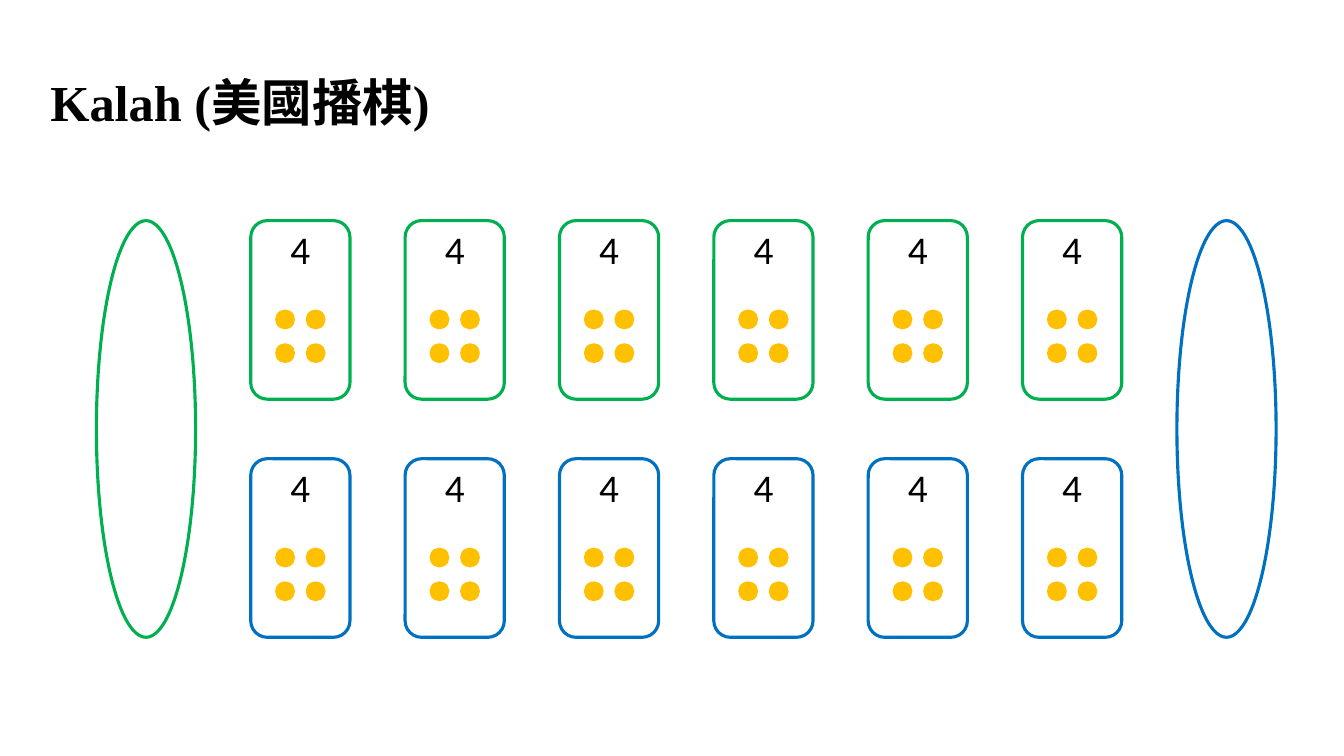
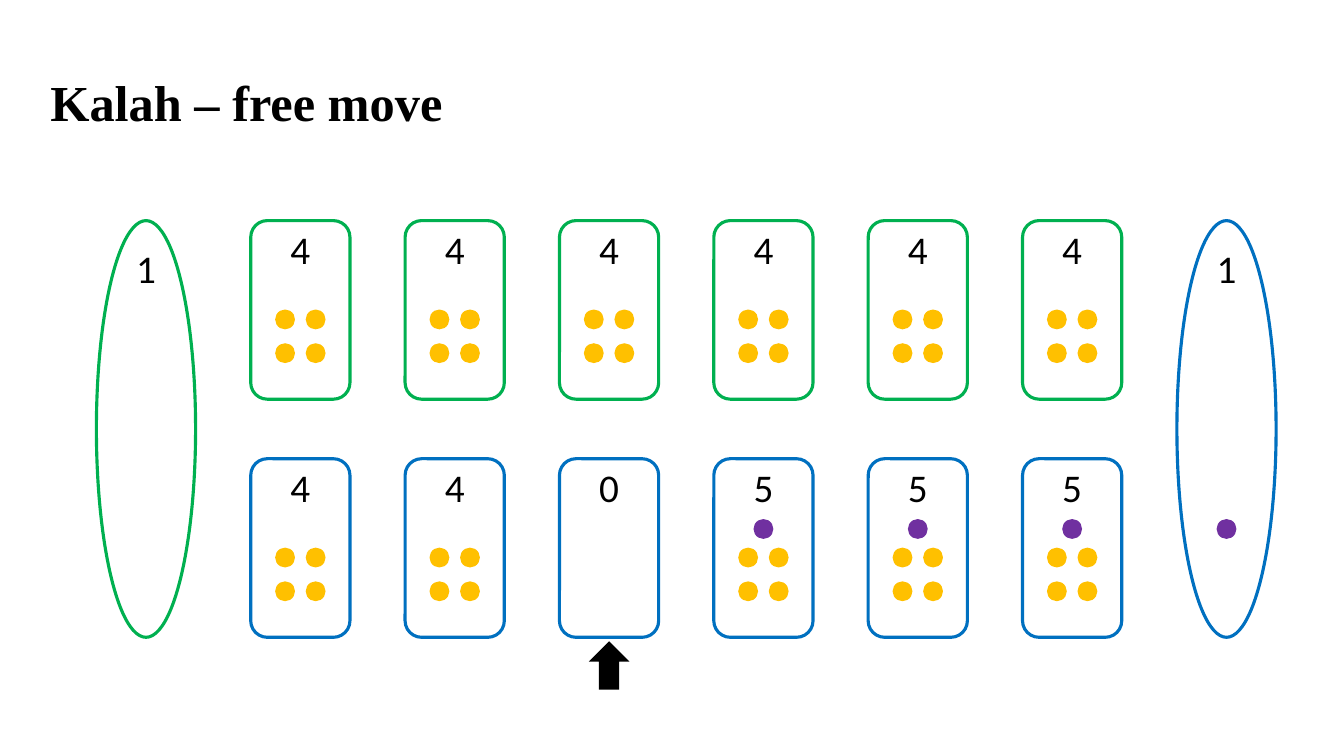
from dataclasses import dataclass
from itertools import product

from pptx import Presentation
from pptx.dml.color import RGBColor
from pptx.enum.shapes import MSO_SHAPE as Preset
from pptx.enum.text import MSO_AUTO_SIZE as AutoSize, PP_ALIGN as Align
from pptx.util import Cm, Pt


@dataclass(frozen=True)
class Theme:
    north: RGBColor = RGBColor(0x00, 0xB0, 0x50)
    south: RGBColor = RGBColor(0x00, 0x70, 0xC0)
    seed: RGBColor = RGBColor(0xFF, 0xC0, 0x00)
    sown: RGBColor = RGBColor(0x70, 0x30, 0xA0)
    ink: RGBColor = RGBColor(0x00, 0x00, 0x00)
    title_font: str = "Times New Roman"
    count_font: str = "Calibri"
    title_size: Pt = Pt(36)
    count_size: Pt = Pt(28)
    outline: Pt = Pt(2.25)


# Board geometry in centimetres
BOARD_LEFT, COLUMN_STEP = 2.43, 3.89
NORTH_TOP, SOUTH_TOP = 5.56, 11.56
CUP_WIDTH, PIT_HEIGHT, STORE_HEIGHT = 2.5, 4.5, 10.5
SEED, SEED_STEP_X, SEED_STEP_Y = 0.5, 0.77, 0.85
QUAD_DROP, SOWN_DROP = 2.24, 1.52
COUNT_WIDTH, COUNT_HEIGHT, STORE_COUNT_DROP = 1.02, 1.45, 0.48
ARROW_WIDTH, ARROW_HEIGHT, ARROW_TOP = 1.02, 1.22, 16.16
SOUTH_STORE = 7


def centred(column, width):
    """Left edge of something centred in a board column."""
    return BOARD_LEFT + column * COLUMN_STEP + (CUP_WIDTH - width) / 2


class Board:
    def __init__(self, deck, theme):
        self.deck, self.theme = deck, theme
        self.page = None

    def start(self, title):
        self.page = self.deck.slides.add_slide(self.deck.slide_layouts[6])
        self.text(title, (1.02, 1.68, 31.78, 1.8), wrap=True, bold=True,
                  name=self.theme.title_font, size=self.theme.title_size)

    def text(self, words, area, wrap=False, align=Align.LEFT, **font):
        box = self.page.shapes.add_textbox(*map(Cm, area))
        frame = box.text_frame
        frame.word_wrap = wrap
        frame.auto_size = AutoSize.SHAPE_TO_FIT_TEXT
        para = frame.paragraphs[0]
        para.alignment = align
        span = para.add_run()
        span.text = words
        span.font.color.rgb = self.theme.ink
        for key, value in font.items():
            setattr(span.font, key, value)

    def solid(self, preset, area, colour, shapes=None):
        shapes = self.page.shapes if shapes is None else shapes
        shape = shapes.add_shape(preset, *map(Cm, area))
        shape.shadow.inherit = False
        shape.fill.solid()
        shape.fill.fore_color.rgb = colour
        shape.line.fill.background()

    def cup(self, preset, column, top, height, colour):
        area = centred(column, CUP_WIDTH), top, CUP_WIDTH, height
        shape = self.page.shapes.add_shape(preset, *map(Cm, area))
        shape.shadow.inherit = False
        shape.fill.background()
        shape.line.color.rgb = colour
        shape.line.width = self.theme.outline

    def count(self, column, top, number):
        self.text(str(number),
                  (centred(column, COUNT_WIDTH), top, COUNT_WIDTH, COUNT_HEIGHT),
                  align=Align.CENTER, name=self.theme.count_font,
                  size=self.theme.count_size)

    def quad(self, column, top):
        """Four starting seeds, grouped two by two."""
        group = self.page.shapes.add_group_shape()
        left = centred(column, SEED + SEED_STEP_X)
        for row, place in product(range(2), repeat=2):
            area = (left + place * SEED_STEP_X,
                    top + QUAD_DROP + row * SEED_STEP_Y, SEED, SEED)
            self.solid(Preset.OVAL, area, self.theme.seed, group.shapes)

    def sown_seed(self, column):
        area = centred(column, SEED), SOUTH_TOP + SOWN_DROP, SEED, SEED
        self.solid(Preset.OVAL, area, self.theme.sown)

    def store(self, column, colour, number=None):
        self.cup(Preset.OVAL, column, NORTH_TOP, STORE_HEIGHT, colour)
        if number is not None:
            self.count(column, NORTH_TOP + STORE_COUNT_DROP, number)

    def pits(self, top, colour, numbers):
        for column, number in enumerate(numbers, start=1):
            self.cup(Preset.ROUNDED_RECTANGLE, column, top, PIT_HEIGHT, colour)
            self.count(column, top, number)
            if number >= 4:
                self.quad(column, top)

    def position(self, title, north, south, stores=(None, None)):
        self.start(title)
        self.store(SOUTH_STORE, self.theme.south, stores[1])
        self.store(0, self.theme.north, stores[0])
        self.pits(SOUTH_TOP, self.theme.south, south)
        self.pits(NORTH_TOP, self.theme.north, north)

    def move(self, origin, last):
        """Point at the emptied pit and show the seeds sown after it."""
        for column in range(origin + 1, last + 1):
            self.sown_seed(column)
        area = centred(origin, ARROW_WIDTH), ARROW_TOP, ARROW_WIDTH, ARROW_HEIGHT
        self.solid(Preset.UP_ARROW, area, self.theme.ink)


def main():
    deck = Presentation()
    deck.slide_width, deck.slide_height = Cm(33.87), Cm(19.05)
    board = Board(deck, Theme())
    full_row = [4] * 6
    board.position("Kalah (美國播棋)", full_row, full_row)
    board.position("Kalah – free move", full_row, [4, 4, 0, 5, 5, 5], (1, 1))
    board.move(origin=3, last=SOUTH_STORE)
    deck.save("out.pptx")


if __name__ == "__main__":
    main()
